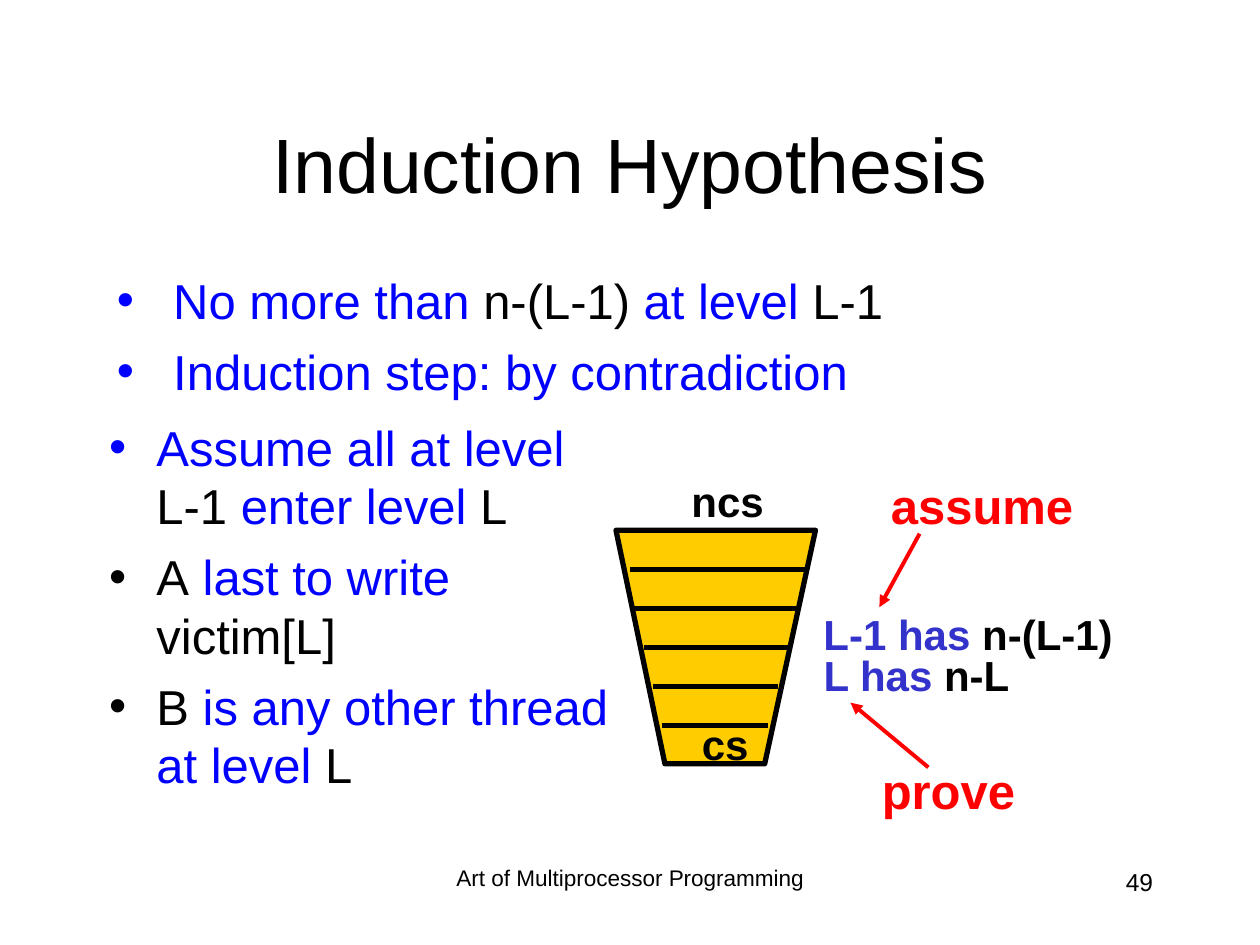
from dataclasses import dataclass

from lxml.etree import SubElement
from pptx import Presentation
from pptx.dml.color import RGBColor
from pptx.enum.shapes import MSO_CONNECTOR
from pptx.enum.text import MSO_ANCHOR, PP_ALIGN
from pptx.oxml.ns import qn
from pptx.util import Pt


@dataclass(frozen=True)
class Theme:
    font: str = "Arial"
    black: str = "000000"
    blue: str = "0000FF"
    navy: str = "3333CC"
    red: str = "FF0000"
    gold: str = "FFCC00"
    title: float = 44
    body: float = 28
    label: float = 24
    page: float = 14
    foot: float = 12.9
    lead: float = 33.5
    gap: float = 7


LOOK = Theme()


def tint(name):
    return RGBColor.from_string(name)


def put(par, runs, size, bold=False):
    """Add (text, colour) runs to a paragraph."""
    for text, hue in runs:
        run = par.add_run()
        run.text = text
        run.font.name = LOOK.font
        run.font.size = Pt(size)
        run.font.bold = bold
        run.font.color.rgb = tint(hue)


def frame(slide, left, top, width, height):
    box = slide.shapes.add_textbox(Pt(left), Pt(top), Pt(width), Pt(height))
    box.text_frame.word_wrap = True
    return box.text_frame


def label(slide, area, runs, size, bold=True, align=PP_ALIGN.LEFT):
    par = frame(slide, *area).paragraphs[0]
    par.alignment = align
    put(par, runs, size, bold)
    return par


def bullets(slide, area, items, indent):
    """Add a list whose bullets take the colour of the first run."""
    text = frame(slide, *area)
    for i, runs in enumerate(items):
        par = text.add_paragraph() if i else text.paragraphs[0]
        props = par._p.get_or_add_pPr()
        props.set("marL", str(Pt(indent)))
        props.set("indent", str(-Pt(indent)))
        hue = SubElement(props, qn("a:buClr"))
        SubElement(hue, qn("a:srgbClr"), val=runs[0][1])
        SubElement(props, qn("a:buFont"), typeface=LOOK.font)
        SubElement(props, qn("a:buChar"), char="•")
        par.line_spacing = Pt(LOOK.lead)
        if i:
            par.space_before = Pt(LOOK.gap)
        put(par, runs, LOOK.body)


def stroke(slide, start, end, hue, width, arrow=False):
    line = slide.shapes.add_connector(
        MSO_CONNECTOR.STRAIGHT, *(Pt(n) for n in (*start, *end)))
    line.line.color.rgb = tint(hue)
    line.line.width = Pt(width)
    props = line._element.spPr
    if arrow:
        SubElement(props.find(qn("a:ln")), qn("a:tailEnd"), type="triangle")
    SubElement(props, qn("a:effectLst"))


def heading(slide, text):
    title = slide.shapes.title
    title.left, title.top = Pt(54), Pt(48)
    title.width, title.height = Pt(612), Pt(90)
    title.text_frame.vertical_anchor = MSO_ANCHOR.MIDDLE
    par = title.text_frame.paragraphs[0]
    par.alignment = PP_ALIGN.CENTER
    put(par, [(text, LOOK.black)], LOOK.title)


def funnel(slide):
    # Outline
    build = slide.shapes.build_freeform(Pt(352), Pt(303))
    build.add_line_segments(
        [(Pt(x), Pt(y)) for x, y in ((380, 436.5), (437, 436.5), (466, 303))])
    shape = build.convert_to_shape()
    shape.shadow.inherit = False
    shape.fill.solid()
    shape.fill.fore_color.rgb = tint(LOOK.gold)
    shape.line.color.rgb = tint(LOOK.black)
    shape.line.width = Pt(3)

    # Evenly spaced levels
    spans = ((360, 461), (362, 455), (368, 450), (373, 444.5), (378, 439))
    for i, (left, right) in enumerate(spans):
        y = 325.3 + 22.3 * i
        stroke(slide, (left, y), (right, y), LOOK.black, 3)

    label(slide, (388, 268, 60, 36), [("ncs", LOOK.black)], LOOK.label)
    label(slide, (394, 407, 46, 36), [("cs", LOOK.black)], LOOK.label)


def claims(slide):
    black, navy, red = LOOK.black, LOOK.navy, LOOK.red
    label(slide, (463.5, 344, 186, 36),
          [("L-1 has ", navy), ("n-(L-1)", black)], LOOK.label)
    label(slide, (463.5, 367.5, 126, 36),
          [("L has ", navy), ("n-L", black)], LOOK.label)
    label(slide, (502, 268, 126, 41), [("assume", red)], LOOK.body)
    label(slide, (496.8, 431, 98, 41), [("prove", red)], LOOK.body)
    stroke(slide, (525.5, 305), (502.5, 347), red, 2.25, arrow=True)
    stroke(slide, (530.5, 438.5), (486, 401.5), red, 2.25, arrow=True)


def main():
    deck = Presentation()
    deck.slide_width, deck.slide_height = Pt(720), Pt(540)
    slide = deck.slides.add_slide(deck.slide_layouts[5])
    black, blue = LOOK.black, LOOK.blue

    # Title and text
    heading(slide, "Induction Hypothesis")
    bullets(slide, (59.7, 151.2, 470, 81), [
        [("No more than ", blue), ("n-(L-1) ", black),
         ("at level ", blue), ("L-1", black)],
        [("Induction step: by contradiction", blue)],
    ], 32.2)
    bullets(slide, (55.3, 235, 303, 274), [
        [("Assume all at level", blue), (" L-1", black),
         (" enter level ", blue), ("L", black)],
        [("A", black), (" last to write ", blue), ("victim[L]", black)],
        [("B", black), (" is any other thread at level ", blue), ("L", black)],
    ], 27)

    # Diagram
    funnel(slide)
    claims(slide)

    # Footer
    foot = label(slide, (246, 492, 228, 36),
                 [("Art of Multiprocessor Programming", black)],
                 LOOK.foot, False, PP_ALIGN.CENTER)
    foot.line_spacing = 0.9
    label(slide, (516, 492, 150, 36), [("49", black)],
          LOOK.page, False, PP_ALIGN.RIGHT)

    deck.save("out.pptx")


if __name__ == "__main__":
    main()
